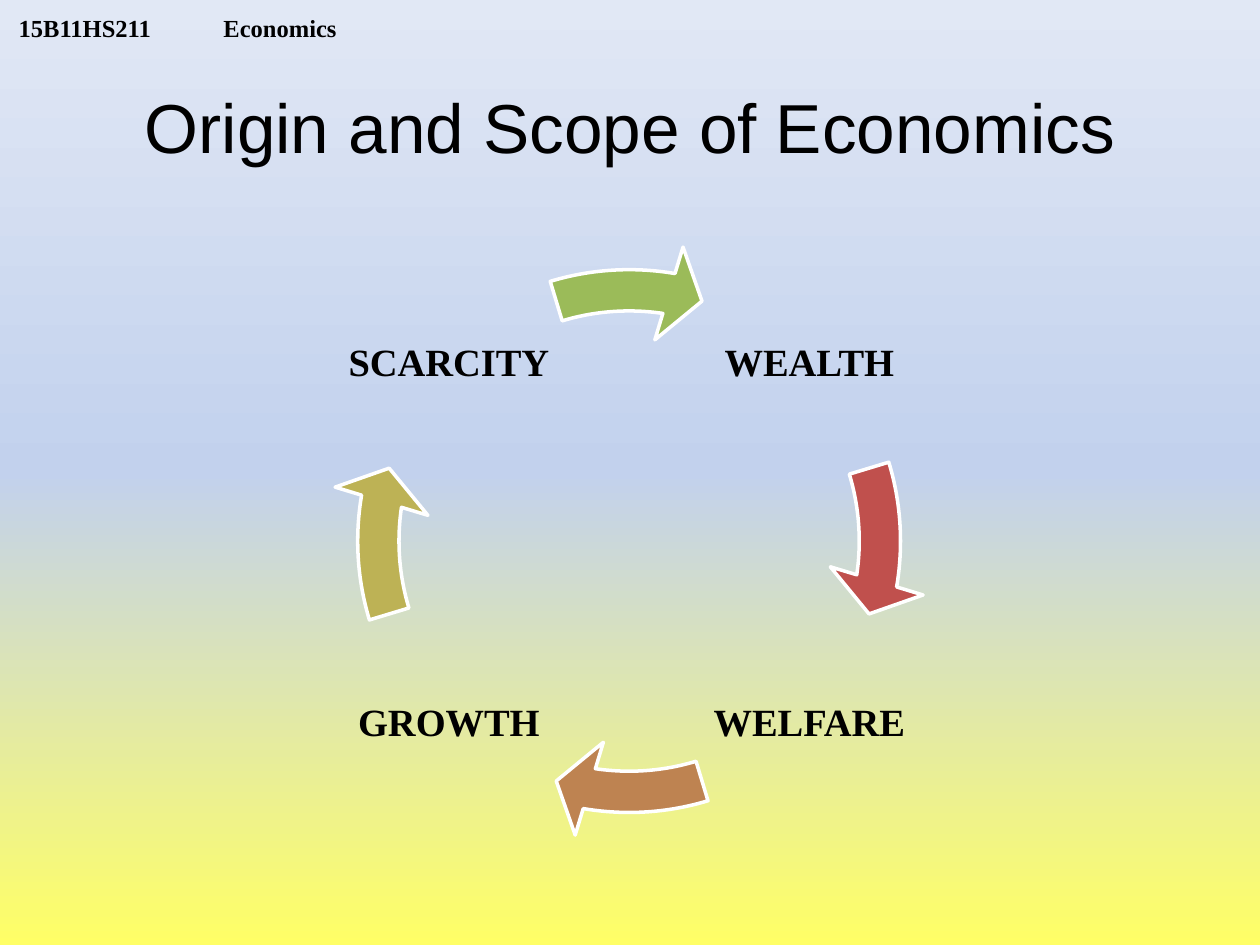
from copy import deepcopy

from lxml import etree
from pptx import Presentation
from pptx import util as u
from pptx.dml.color import RGBColor
from pptx.enum import shapes, text
from pptx.oxml.ns import qn

COLORS = {
    "text": "000000", "outline": "FFFFFF",
    "bottom": "FFFF66", "middle": "C2D1ED", "top": "E1E8F5",
    "red": "C0504D", "brown": "BE8351", "olive": "BDB255", "green": "9BBB59",
}
SERIF, SANS = "Times New Roman", "Arial"


def rgb(name):
    return RGBColor.from_string(COLORS[name])


class SlideBuilder:
    def __init__(self, slide):
        self.slide = slide

    def background(self, *names):
        """Vertical gradient through three colours, from bottom to top."""
        fill = self.slide.background.fill
        fill.gradient()
        fill.gradient_angle = 90
        stop_list = self.slide.element.find(".//" + qn("a:gsLst"))
        stop_list.append(deepcopy(stop_list[-1]))
        for index, (stop, name) in enumerate(zip(fill.gradient_stops, names)):
            stop.position = index / 2
            stop.color.rgb = rgb(name)

    def text(self, words, left, top, width, height, size, font=SERIF, bold=True,
             align=text.PP_ALIGN.CENTER, anchor=text.MSO_ANCHOR.MIDDLE,
             inset=(2, 2), tab=None):
        box = self.slide.shapes.add_textbox(*map(u.Pt, (left, top, width, height)))
        frame = box.text_frame
        frame.word_wrap = True
        frame.vertical_anchor = anchor
        frame.margin_left = frame.margin_right = u.Pt(inset[0])
        frame.margin_top = frame.margin_bottom = u.Pt(inset[1])
        para = frame.paragraphs[0]
        para.alignment = align
        if tab:
            tabs = etree.SubElement(para._p.get_or_add_pPr(), qn("a:tabLst"))
            etree.SubElement(tabs, qn("a:tab"), pos=str(u.Pt(tab)), algn="l")
        span = para.add_run()
        span.text = words
        span.font.name = font
        span.font.size = u.Pt(size)
        span.font.bold = bold
        span.font.color.rgb = rgb("text")

    def cycle_arrow(self, left, top, size, turn, color):
        """Arc arrow turned clockwise by a number of quarter turns."""
        arrow = self.slide.shapes.add_shape(
            shapes.MSO_SHAPE.CIRCULAR_ARROW, *map(u.Pt, (left, top, size, size)))
        arrow.shadow.inherit = False
        # Angles count 0.6 per degree: 54 a quarter, 216 a full turn
        values = (0.069, 4.657, 5.481 + 54 * turn,
                  (205.862 + 54 * turn) % 216, 0.081)
        for index, value in enumerate(values):
            arrow.adjustments[index] = value
        arrow.fill.solid()
        arrow.fill.fore_color.rgb = rgb(color)
        arrow.line.color.rgb = rgb("outline")
        arrow.line.width = u.Pt(2)


def main():
    deck = Presentation()
    deck.slide_width, deck.slide_height = u.Pt(720), u.Pt(540)
    page = SlideBuilder(deck.slides.add_slide(deck.slide_layouts[6]))
    page.background("bottom", "middle", "top")

    # Course header and title
    page.text("15B11HS211\tEconomics", 3.6, 0, 230.4, 24, 14,
              align=text.PP_ALIGN.LEFT, anchor=text.MSO_ANCHOR.BOTTOM,
              inset=(7.2, 0), tab=117)
    page.text("Origin and Scope of Economics", 45, 24, 630, 96, 39.6,
              font=SANS, bold=False, inset=(7.2, 3.6))

    # Cycle: a label in each corner, followed by the arrow to the next one
    center_x, center_y = 359.5, 309.2
    offset, label, ring = 103, 121, 342
    steps = [("WEALTH", 1, -1, "red"), ("WELFARE", 1, 1, "brown"),
             ("GROWTH", -1, 1, "olive"), ("SCARCITY", -1, -1, "green")]
    for turn, (words, side_x, side_y, color) in enumerate(steps):
        page.text(words, center_x + side_x * offset - label / 2,
                  center_y + side_y * offset - label / 2, label, label, 22)
        page.cycle_arrow(center_x - ring / 2, center_y - ring / 2, ring, turn, color)

    deck.save("out.pptx")


if __name__ == "__main__":
    main()
